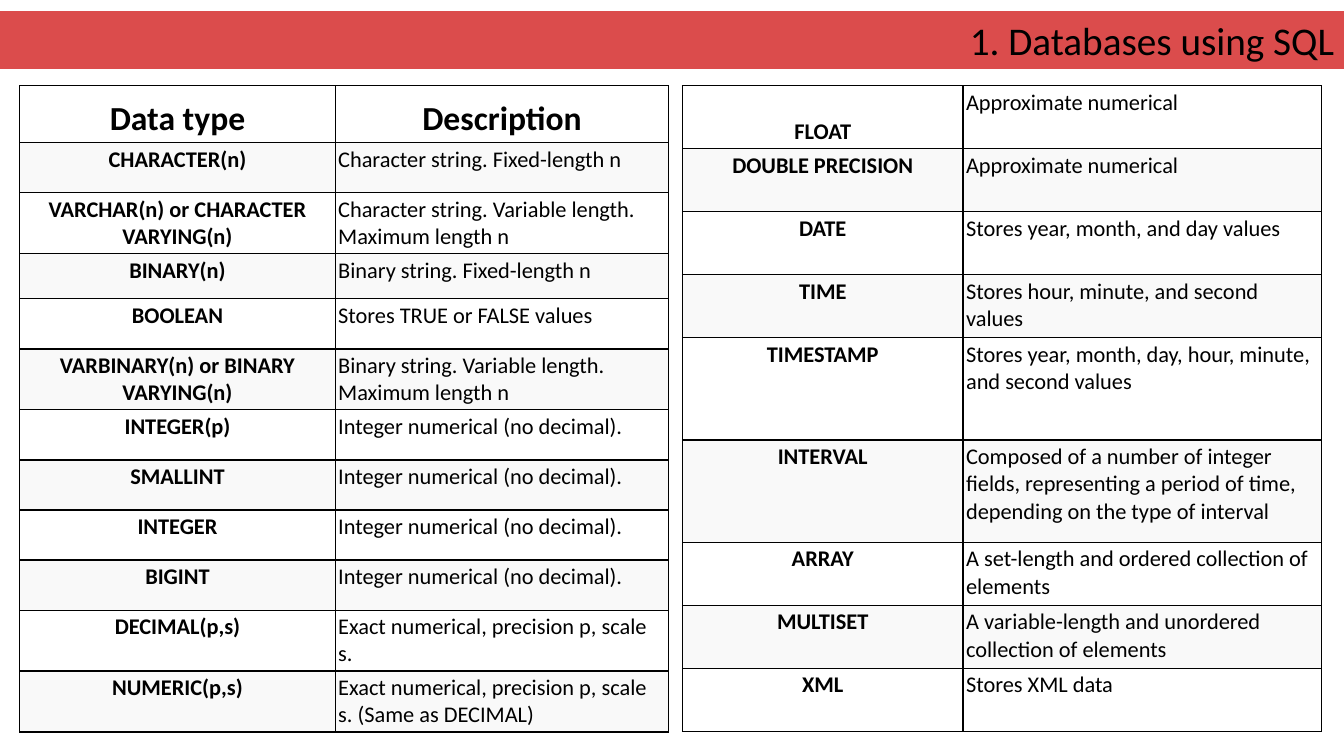
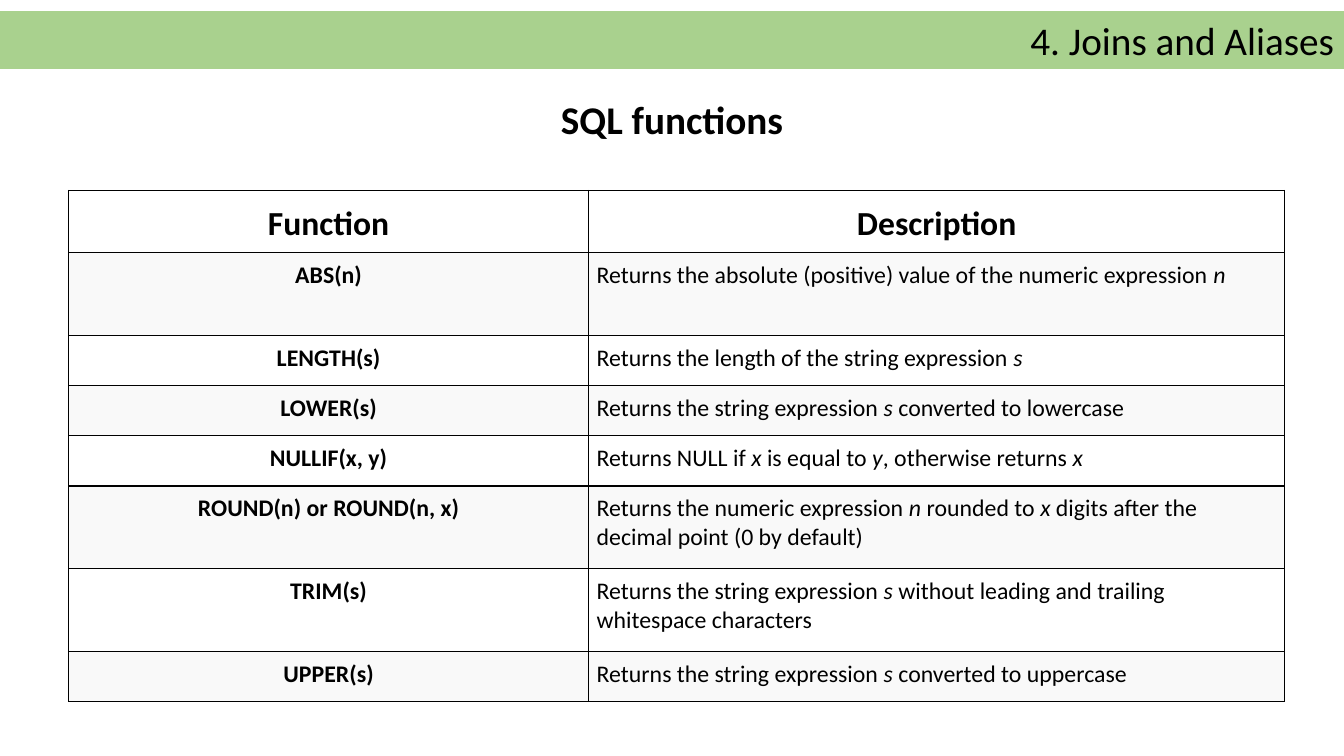
from lxml.etree import SubElement
from pptx import Presentation
from pptx.dml.color import RGBColor
from pptx.enum.text import MSO_ANCHOR, PP_ALIGN
from pptx.oxml.ns import qn
from pptx.util import Pt

FONT = "Calibri"
BLACK, WHITE, GREY = "000000", "FFFFFF", "F9F9F9"
RED, GREEN = "CC0000", "A9D18E"
WIDTH, HEIGHT = 960, 540
HEAD = 24


def paint(fill, color, alpha=100):
    """Fill with a solid colour; alpha is the opacity in percent."""
    fill.solid()
    fill.fore_color.rgb = RGBColor.from_string(color)
    if alpha < 100:
        tint = fill._xPr.find(qn("a:solidFill"))[0]
        SubElement(tint, qn("a:alpha"), val=str(alpha * 1000))


def write(par, text, size, bold, align):
    """Fill a paragraph; parts between asterisks are italic."""
    par.alignment = align
    par.font.name = FONT
    par.font.size = Pt(size)
    par.font.bold = bold
    paint(par.font.fill, BLACK)
    for i, part in enumerate(text.split("*")):
        if part:
            run = par.add_run()
            run.text = part
            if i % 2:
                run.font.italic = True


TYPES = [
    (40.7, "Data type", "Description"),
    (35.8, "CHARACTER(n)", "Character string. Fixed-length n"),
    (43.3, "VARCHAR(n) or CHARACTER VARYING(n)",
     "Character string. Variable length. Maximum length n"),
    (32.3, "BINARY(n)", "Binary string. Fixed-length n"),
    (35.8, "BOOLEAN", "Stores TRUE or FALSE values"),
    (43.3, "VARBINARY(n) or BINARY VARYING(n)",
     "Binary string. Variable length. Maximum length n"),
    (35.8, "INTEGER(p)", "Integer numerical (no decimal)."),
    (35.8, "SMALLINT", "Integer numerical (no decimal)."),
    (35.8, "INTEGER", "Integer numerical (no decimal)."),
    (35.8, "BIGINT", "Integer numerical (no decimal)."),
    (43.3, "DECIMAL(p,s)", "Exact numerical, precision p, scale s."),
    (43.3, "NUMERIC(p,s)",
     "Exact numerical, precision p, scale s. (Same as DECIMAL)"),
]
MORE = [
    (45, "FLOAT", "Approximate numerical"),
    (45, "DOUBLE PRECISION", "Approximate numerical"),
    (45, "DATE", "Stores year, month, and day values"),
    (45, "TIME", "Stores hour, minute, and second values"),
    (73.2, "TIMESTAMP",
     "Stores year, month, day, hour, minute, and second values"),
    (73.2, "INTERVAL",
     "Composed of a number of integer fields, representing a period of time, "
     "depending on the type of interval"),
    (45, "ARRAY", "A set-length and ordered collection of elements"),
    (45, "MULTISET", "A variable-length and unordered collection of elements"),
    (45, "XML", "Stores XML data"),
]
FUNCS = [
    (44.6, "Function", "Description"),
    (59.2, "ABS(n)",
     "Returns the absolute (positive) value of the numeric expression *n*"),
    (35.8, "LENGTH(s)", "Returns the length of the string expression *s*"),
    (35.8, "LOWER(s)", "Returns the string expression *s* converted to lowercase"),
    (35.8, "NULLIF(x, y)",
     "Returns NULL if *x* is equal to *y*, otherwise returns *x*"),
    (59.2, "ROUND(n) or ROUND(n, x)",
     "Returns the numeric expression *n* rounded to *x* digits after the "
     "decimal point (0 by default)"),
    (59.2, "TRIM(s)",
     "Returns the string expression *s* without leading and trailing "
     "whitespace characters"),
    (35.8, "UPPER(s)", "Returns the string expression *s* converted to uppercase"),
]

# Each table: left, top, column widths, cell margin, text size, has header, rows
SLIDES = [
    ("1. Databases using SQL", RED, 70, None, [
        (487.5, 61.2, (200.4, 256), 2.2, 16, False, MORE),
        (14.2, 61.2, (225.2, 238.4), 2.2, 16, True, TYPES),
    ]),
    ("4. Joins and Aliases", GREEN, 100, "SQL functions", [
        (49, 136, (371.4, 497.3), 5.8, 17, True, FUNCS),
    ]),
]

deck = Presentation()
deck.slide_width, deck.slide_height = Pt(WIDTH), Pt(HEIGHT)

for title, color, alpha, topic, tables in SLIDES:
    slide = deck.slides.add_slide(deck.slide_layouts[5])
    band = slide.shapes.title
    band.left, band.top = Pt(0), Pt(8)
    band.width, band.height = Pt(WIDTH), Pt(41.2)
    paint(band.fill, color, alpha)
    write(band.text_frame.paragraphs[0], title, 28, False, PP_ALIGN.RIGHT)

    if topic:
        box = slide.shapes.add_textbox(Pt(276.4), Pt(64.4), Pt(407.2), Pt(41.2))
        box.text_frame.word_wrap = True
        write(box.text_frame.paragraphs[0], topic, 28, True, PP_ALIGN.CENTER)

    for left, top, widths, gap, size, header, rows in tables:
        high = sum(row[0] for row in rows)
        frame = slide.shapes.add_table(len(rows), len(widths), Pt(left), Pt(top),
                                       Pt(sum(widths)), Pt(high))
        grid = frame.table
        grid.first_row = header
        grid.horz_banding = False
        for col, width in zip(grid.columns, widths):
            col.width = Pt(width)
        for r, (tall, *texts) in enumerate(rows):
            grid.rows[r].height = Pt(tall)
            top_row = header and r == 0
            for c, text in enumerate(texts):
                cell = grid.cell(r, c)
                cell.margin_left = cell.margin_right = Pt(gap)
                cell.margin_top = cell.margin_bottom = Pt(gap)
                low = top_row or text == "FLOAT"
                cell.vertical_anchor = MSO_ANCHOR.BOTTOM if low else MSO_ANCHOR.TOP
                props = cell._tc.get_or_add_tcPr()
                for side in "LRTB":
                    line = SubElement(props, qn("a:ln" + side), w=str(Pt(1)))
                    ink = SubElement(line, qn("a:solidFill"))
                    SubElement(ink, qn("a:srgbClr"), val=BLACK)
                paint(cell.fill, GREY if r % 2 else WHITE)
                strong = top_row or c == 0
                write(cell.text_frame.paragraphs[0], text,
                      HEAD if top_row else size, strong,
                      PP_ALIGN.CENTER if strong else PP_ALIGN.LEFT)

deck.save("out.pptx")
